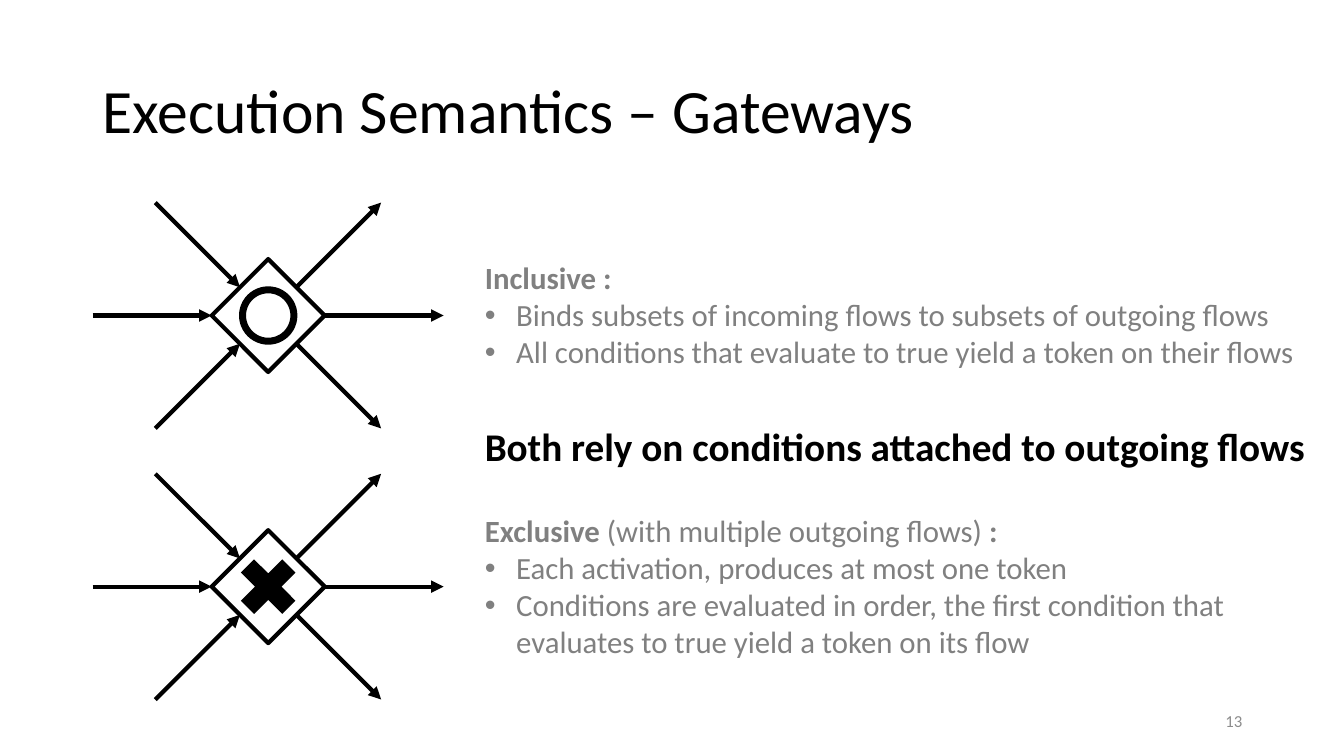
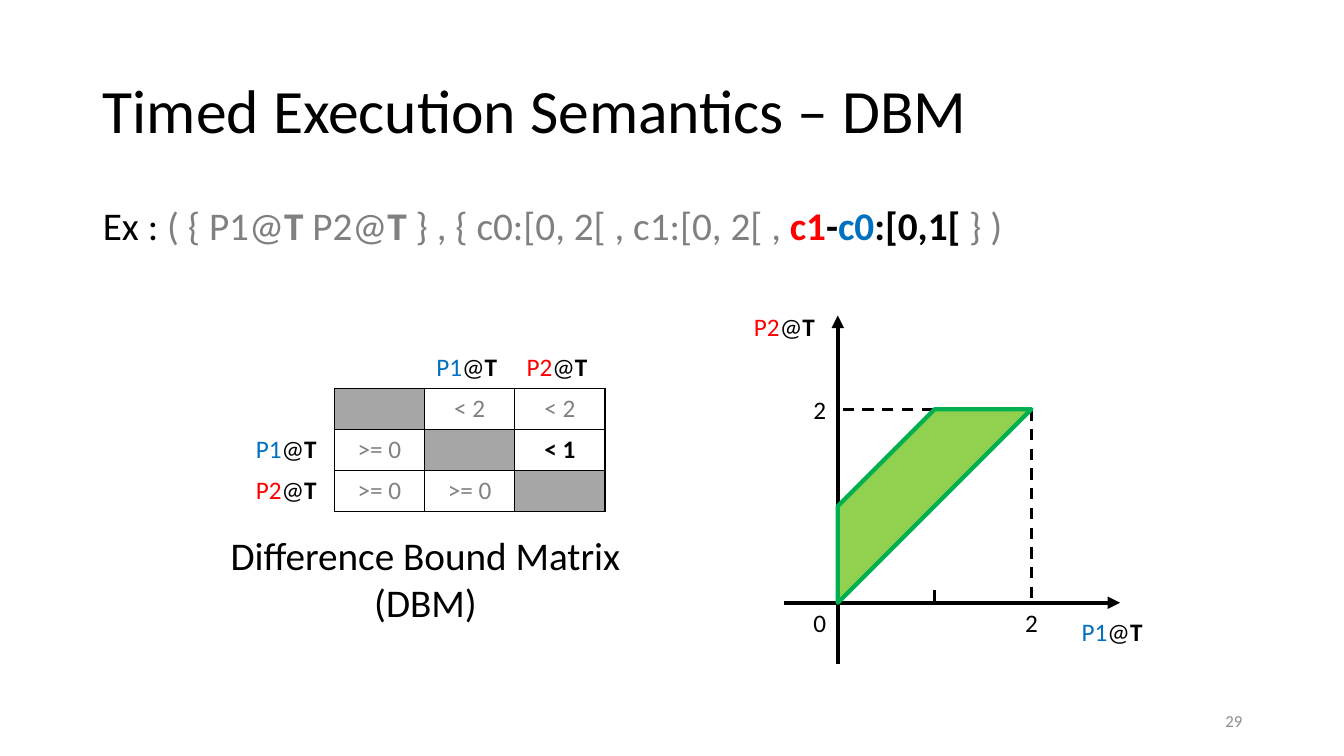
from lxml.etree import SubElement
from pptx import Presentation
from pptx.dml.color import RGBColor
from pptx.enum.dml import MSO_LINE
from pptx.enum.shapes import MSO_CONNECTOR, MSO_SHAPE
from pptx.enum.text import MSO_ANCHOR, MSO_AUTO_SIZE, PP_ALIGN
from pptx.oxml.ns import qn
from pptx.util import Inches, Pt

FONT = "Calibri"
COLOURS = {
    "black": "000000", "grey": "808080", "footer": "8C8C8C", "shade": "A6A6A6",
    "red": "FF0000", "blue": "0070C0", "lime": "92D050", "green": "00B050",
}
TWO_LISTS, ONE_LIST = 3, 1  # template layouts

# Content: a run is (text, colour, bold)
INCLUSIVE = [
    [("Inclusive :", "grey", True)],
    [("Binds subsets of incoming flows to subsets of outgoing flows", "grey", False)],
    [("All conditions that evaluate to true yield a token on their flows", "grey", False)],
]
EXCLUSIVE = [
    [("Exclusive ", "grey", True), ("(with multiple outgoing flows) ", "grey", False),
     (":", "grey", True)],
    [("Each activation, produces at most one token", "grey", False)],
    [("Conditions are evaluated in order, the first condition that evaluates to true "
      "yield a token on its flow", "grey", False)],
]
KEY_POINT = [[("Both rely on conditions attached to outgoing flows", "black", True)]]

EXAMPLE = [[
    ("Ex : ", "black", False), ("( { P1@", "grey", False), ("T", "grey", True),
    (" P2@", "grey", False), ("T", "grey", True),
    (" } , { c0:[0, 2[ , c1:[0, 2[ , ", "grey", False),
    ("c1", "red", True), ("-", "black", True), ("c0", "blue", True),
    (":[0,1[ ", "black", True), ("} )", "grey", False),
]]
CAPTION = [[("Difference Bound Matrix", "black", False)], [("(DBM)", "black", False)]]


def clock(name, colour, end="T"):
    return [(name, colour, False), ("@", "black", False), (end, "black", True)]


def bound(text):
    return [(text, "grey", False)]


P1, P2 = clock("P1", "blue", "T "), clock("P2", "red", "T ")
MATRIX = [
    [[], [], P1, P2],
    [[], [], bound("< 2"), bound("< 2")],
    [P1, bound(">= 0"), [], [("< 1", "black", True)]],
    [P2, bound(">= 0"), bound(">= 0"), []],
]
ZONE = [(0, 0), (0, 1), (1, 2), (2, 2)]


def rgb(name):
    return RGBColor.from_string(COLOURS[name])


# Text
def write_runs(para, runs, size):
    for text, colour, bold in runs:
        span = para.add_run()
        span.text = text
        span.font.name, span.font.size, span.font.bold = FONT, Pt(size), bold
        span.font.color.rgb = rgb(colour)


def place(box, left, top, width, height):
    box.left, box.top, box.width, box.height = map(Inches, (left, top, width, height))


def fill_text(box, paras, size, align=PP_ALIGN.LEFT, anchor=MSO_ANCHOR.TOP,
              spacing=1.0, before=0):
    frame = box.text_frame
    frame.word_wrap, frame.auto_size = True, MSO_AUTO_SIZE.NONE
    frame.vertical_anchor = anchor
    for index, runs in enumerate(paras):
        para = frame.add_paragraph() if index else frame.paragraphs[0]
        para.alignment, para.line_spacing = align, spacing
        para.space_before = Pt(before)
        write_runs(para, runs, size)


def set_bullet(para, shown):
    properties = para._p.get_or_add_pPr()
    indent = Inches(0.31) if shown else 0
    properties.set("marL", str(indent))
    properties.set("indent", str(-indent))
    if shown:
        SubElement(properties, qn("a:buFont"), typeface="Arial")
        SubElement(properties, qn("a:buChar"), char="•")
    else:
        SubElement(properties, qn("a:buNone"))


def fill_list(box, area, paras, size, **style):
    place(box, *area)
    fill_text(box, paras, size, **style)
    for index, para in enumerate(box.text_frame.paragraphs):
        set_bullet(para, index > 0)


def add_text(page, area, paras, size, **style):
    box = page.shapes.add_textbox(*map(Inches, area))
    fill_text(box, paras, size, **style)


def add_label(page, x, y, runs):
    add_text(page, (x - 0.5, y - 0.2, 1, 0.4), [runs], 18,
             align=PP_ALIGN.CENTER, anchor=MSO_ANCHOR.MIDDLE)


# Shapes
def style_shape(shape, fill=None, line=None, width=3):
    shape.shadow.inherit = False
    if fill:
        shape.fill.solid()
        shape.fill.fore_color.rgb = rgb(fill)
    else:
        shape.fill.background()
    if line:
        shape.line.color.rgb, shape.line.width = rgb(line), Pt(width)
    else:
        shape.line.fill.background()


def add_centred(page, kind, x, y, size, **style):
    shape = page.shapes.add_shape(
        kind, *map(Inches, (x - size / 2, y - size / 2, size, size)))
    style_shape(shape, **style)
    return shape


def add_line(page, start, end, width=3, arrow=True, dashed=False):
    line = page.shapes.add_connector(
        MSO_CONNECTOR.STRAIGHT, *map(Inches, (*start, *end)))
    line.line.color.rgb, line.line.width = rgb("black"), Pt(width)
    if dashed:
        line.line.dash_style = MSO_LINE.DASH
    properties = line._element.spPr
    if arrow:
        SubElement(properties.find(qn("a:ln")), qn("a:tailEnd"), type="triangle")
    SubElement(properties, qn("a:effectLst"))
    return line


def add_gateway(page, x, y):
    half = 0.56
    near, far, reach = half / 2, half * 2, 1.74
    diamond = add_centred(page, MSO_SHAPE.DIAMOND, x, y, half * 2, line="black")
    add_line(page, (x - reach, y), (x - half, y)).end_connect(diamond, 1)
    add_line(page, (x + half, y), (x + reach, y)).begin_connect(diamond, 3)
    for side in (-1, 1):
        add_line(page, (x - far, y + side * far), (x - near, y + side * near))
        add_line(page, (x + near, y + side * near), (x + far, y + side * far))


# Matrix
def draw_borders(cell, row, column):
    inside = row > 0 and column > 0
    black = {
        "L": inside, "R": inside or (row > 0 and column == 0),
        "T": inside, "B": inside or (row == 0 and column > 0),
    }
    properties = cell._tc.get_or_add_tcPr()
    for index, (side, shown) in enumerate(black.items()):
        edge = SubElement(properties, qn("a:ln" + side), w=str(Pt(1)))
        if shown:
            SubElement(SubElement(edge, qn("a:solidFill")), qn("a:srgbClr"),
                       val=COLOURS["black"])
        else:
            SubElement(edge, qn("a:noFill"))
        properties.insert(index, edge)


def add_matrix(page, left, top, cell_width, cell_height):
    count = len(MATRIX)
    table = page.shapes.add_table(
        count, count, Inches(left), Inches(top),
        Inches(cell_width * count), Inches(cell_height * count)).table
    table.first_row = table.horz_banding = False
    for row, entries in enumerate(MATRIX):
        table.rows[row].height = Inches(cell_height)
        for column, runs in enumerate(entries):
            cell = table.cell(row, column)
            if row == column > 0:
                cell.fill.solid()
                cell.fill.fore_color.rgb = rgb("shade")
            else:
                cell.fill.background()
            draw_borders(cell, row, column)
            para = cell.text_frame.paragraphs[0]
            para.alignment = PP_ALIGN.CENTER
            write_runs(para, runs, 18)


# Plot of the zone
def add_plot(page, x0, y0, unit):
    def at(x, y):
        return x0 + x * unit, y0 - y * unit

    for end in ((0, 2), (2, 0)):
        add_line(page, at(2, 2), at(*end), width=2, arrow=False, dashed=True)
    tick_x, tick_y = at(1, 0)
    add_line(page, (tick_x, tick_y - 0.13), (tick_x, tick_y), width=2, arrow=False)
    add_line(page, (x0, y0 + 0.61), (x0, y0 - 2.85))
    add_line(page, (x0 - 0.53, y0), (x0 + 2.8, y0))

    corners = [tuple(map(Inches, at(*point))) for point in ZONE]
    outline = page.shapes.build_freeform(*corners[0])
    outline.add_line_segments(corners[1:], close=True)
    style_shape(outline.convert_to_shape(), fill="lime", line="green")

    for x, y, runs in [
        (x0 - 0.18, y0 + 0.2, [("0", "black", False)]),
        (x0 + 2 * unit, y0 + 0.2, [("2", "black", False)]),
        (x0 - 0.18, y0 - 2 * unit, [("2", "black", False)]),
        (x0 + 2.72, y0 + 0.28, clock("P1", "blue")),
        (x0 - 0.53, y0 - 2.74, clock("P2", "red")),
    ]:
        add_label(page, x, y, runs)


# Pages
def add_page(deck, layout, title, number):
    page = deck.slides.add_slide(deck.slide_layouts[layout])
    place(page.shapes.title, 0.92, 0.4, 11.5, 1.45)
    fill_text(page.shapes.title, [[(title, "black", False)]], 44,
              anchor=MSO_ANCHOR.MIDDLE, spacing=0.9)
    add_text(page, (9.42, 6.95, 3, 0.4), [[(number, "footer", False)]], 12,
             align=PP_ALIGN.RIGHT, anchor=MSO_ANCHOR.MIDDLE)
    return page


def keep_placeholders(page, wanted):
    for box in list(page.placeholders):
        if box.placeholder_format.idx not in wanted:
            box._element.getparent().remove(box._element)


def build_gateways(deck):
    page = add_page(deck, TWO_LISTS, "Execution Semantics – Gateways", "13")
    keep_placeholders(page, (0, 1, 2))
    x, inclusive_y, exclusive_y = 2.66, 3.13, 5.82
    for y in (inclusive_y, exclusive_y):
        add_gateway(page, x, y)
    add_centred(page, MSO_SHAPE.OVAL, x, inclusive_y, 0.51, line="black", width=5)
    add_centred(page, MSO_SHAPE.MATH_MULTIPLY, x, exclusive_y, 0.79, fill="black")
    fill_list(page.placeholders[1], (4.71, 2.52, 8.24, 1.21), INCLUSIVE, 22)
    fill_list(page.placeholders[2], (4.71, 5.03, 8.24, 1.58), EXCLUSIVE, 22)
    add_text(page, (4.71, 4.14, 8.44, 0.88), KEY_POINT, 28)


def build_matrix(deck):
    page = add_page(deck, ONE_LIST, "Timed Execution Semantics – DBM", "29")
    fill_list(page.placeholders[1], (0.92, 2, 11.5, 4.76), EXAMPLE, 28,
              spacing=0.9, before=10)
    add_matrix(page, 2.42, 3.45, 0.895, 0.405)
    add_text(page, (2.02, 5.22, 4.4, 1.04), CAPTION, 28, align=PP_ALIGN.CENTER)
    add_plot(page, 8.31, 5.98, 0.96)


def main():
    deck = Presentation()
    deck.slide_width, deck.slide_height = Inches(13.33), Inches(7.5)
    build_gateways(deck)
    build_matrix(deck)
    deck.save("out.pptx")


if __name__ == "__main__":
    main()
